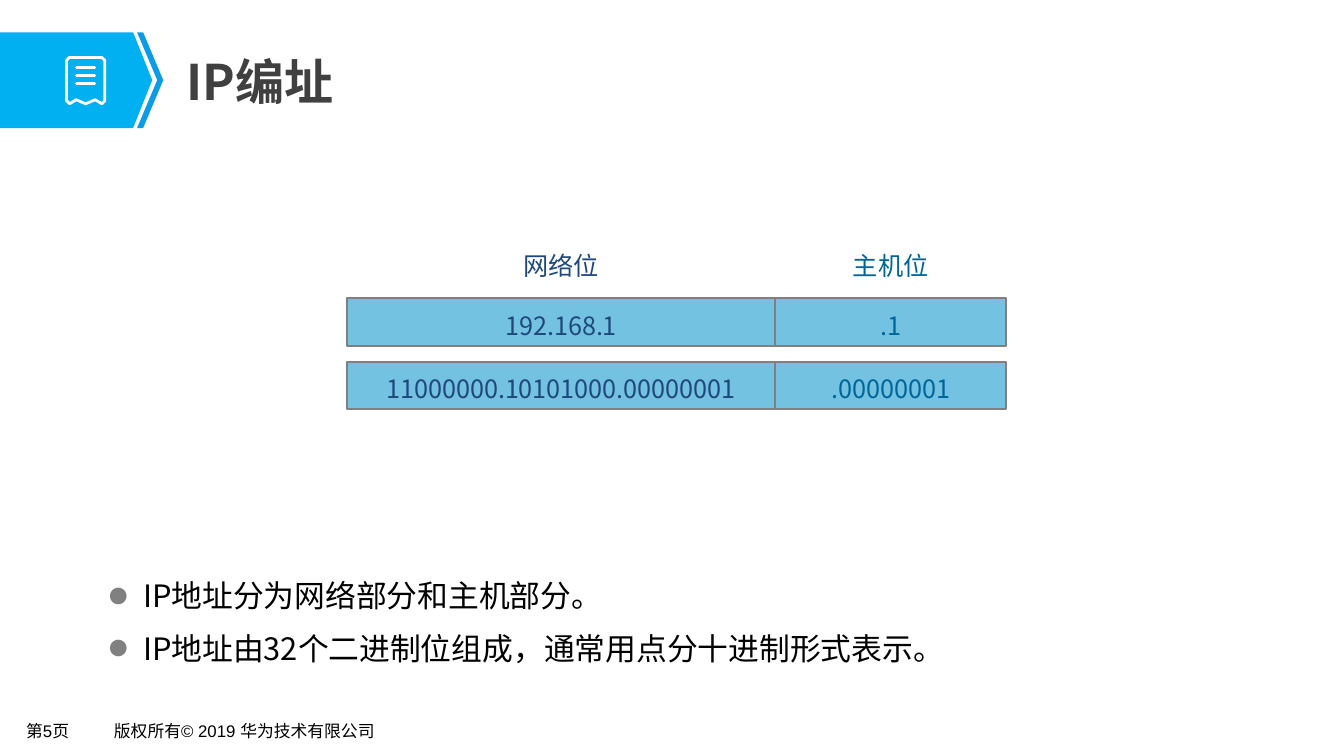
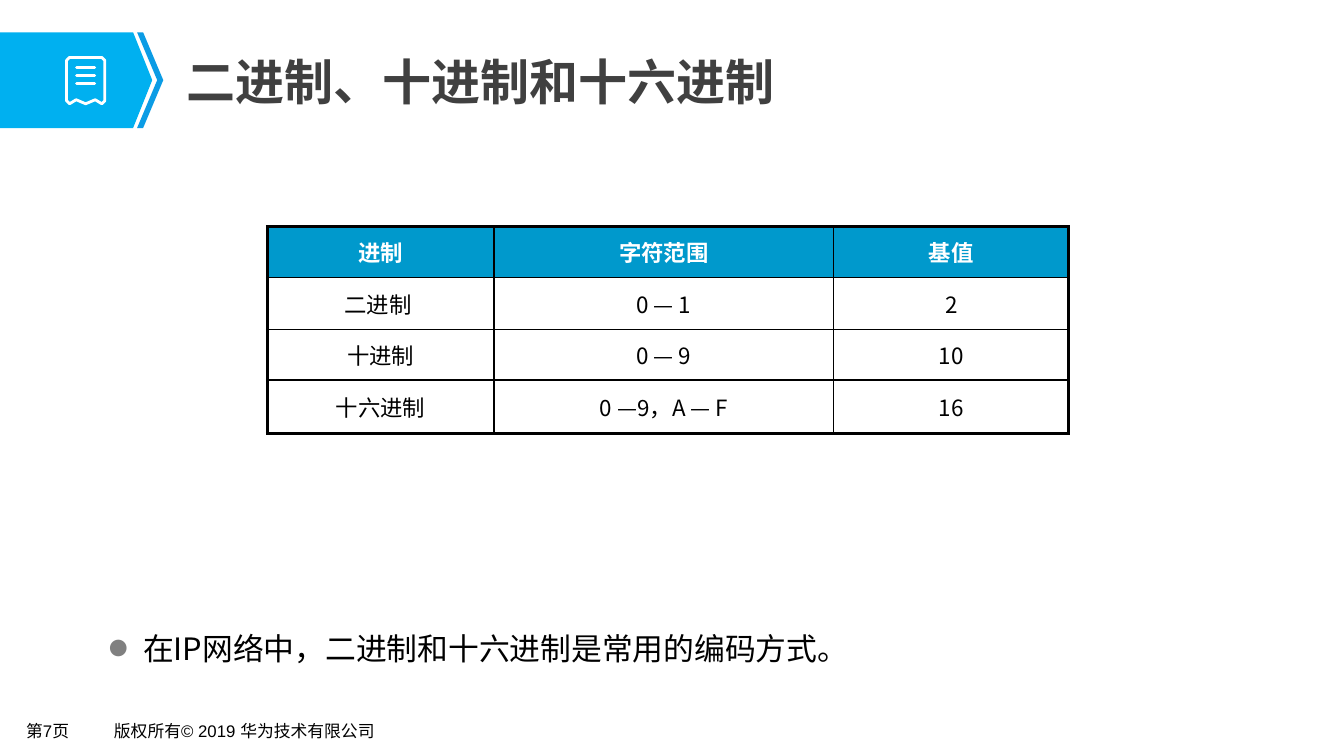
"""Build two slides on IP addressing and number systems."""
from lxml import etree
from pptx import Presentation
from pptx.dml.color import RGBColor
from pptx.enum.shapes import MSO_CONNECTOR, MSO_SHAPE
from pptx.enum.text import MSO_ANCHOR, MSO_AUTO_SIZE, PP_ALIGN
from pptx.oxml.ns import qn
from pptx.util import Inches, Pt

LEFT, CENTER, JUSTIFY = PP_ALIGN.LEFT, PP_ALIGN.CENTER, PP_ALIGN.JUSTIFY
TOP, MIDDLE, BOTTOM = MSO_ANCHOR.TOP, MSO_ANCHOR.MIDDLE, MSO_ANCHOR.BOTTOM
FIT_SHAPE, FIT_NONE = MSO_AUTO_SIZE.SHAPE_TO_FIT_TEXT, MSO_AUTO_SIZE.NONE
RECTANGLE, STRAIGHT = MSO_SHAPE.RECTANGLE, MSO_CONNECTOR.STRAIGHT
TITLE_ONLY = 5
CJK_FONT = "Noto Sans CJK SC"
COLORS = {
    "black": "000000", "white": "FFFFFF", "title": "404040", "gray": "808080",
    "band": "00B0F0", "chevron": "0B9CE5", "address": "74C2E1",
    "network": "1F497D", "host": "006699", "header": "0099CC",
}
TITLE_FONT = {"name": CJK_FONT, "size": Pt(35), "bold": True}
BODY_FONT = {"name": CJK_FONT, "size": Pt(22), "bold": False}
DIAGRAM_FONT = {"name": CJK_FONT, "size": Pt(18), "bold": False}
TABLE_FONT = {"name": CJK_FONT, "size": Pt(16), "bold": False}
FOOTER_FONT = {"name": "Arial", "size": Pt(12), "bold": False}
COPYRIGHT = "版权所有© 2019 华为技术有限公司"


def rgb(color):
    """Return the named colour."""
    return RGBColor.from_string(COLORS[color])


def set_attributes(target, values):
    """Set every attribute in a dict of format values."""
    for name, value in values.items():
        setattr(target, name, value)


def frame_format(anchor, margins, wrap=True, fit=FIT_NONE):
    """Return the format values of a text frame."""
    horizontal, vertical = (Inches(margin) for margin in margins)
    return {"word_wrap": wrap, "auto_size": fit, "vertical_anchor": anchor,
            "margin_left": horizontal, "margin_right": horizontal,
            "margin_top": vertical, "margin_bottom": vertical}


def write(paragraph, text, font, color, **layout):
    """Write one formatted run into a paragraph."""
    set_attributes(paragraph, layout)
    run = paragraph.add_run()
    run.text = text
    set_attributes(run.font, font)
    run.font.color.rgb = rgb(color)
    properties = run.font._element
    etree.SubElement(properties, qn("a:ea"), typeface=CJK_FONT)


def add_text_box(slide, box, frame_values):
    """Add a text box and return its text frame."""
    frame = slide.shapes.add_textbox(*map(Inches, box)).text_frame
    set_attributes(frame, frame_values)
    return frame


def add_outline(slide, left, top, points):
    """Add a closed outline whose points are relative to a corner."""
    corners = [(Inches(left + x), Inches(top + y)) for x, y in points]
    builder = slide.shapes.build_freeform(*corners[0])
    builder.add_line_segments(corners[1:], close=True)
    shape = builder.convert_to_shape()
    shape.shadow.inherit = False
    return shape


def add_icon(slide, left, top, width, height):
    """Draw a receipt icon in its box."""
    corner, tooth = 0.03, 0.04
    teeth = [(width * step / 4, height - tooth * (step % 2 == 1))
             for step in (3, 2, 1)]
    points = [(corner, 0), (width - corner, 0), (width, corner),
              (width, height - corner), (width - corner, height), *teeth,
              (corner, height), (0, height - corner), (0, corner)]
    receipt = add_outline(slide, left, top, points)
    receipt.fill.background()
    lines = [receipt.line]
    for row in range(3):
        y = Inches(top + 0.1 + 0.08 * row)
        stripe = slide.shapes.add_connector(
            STRAIGHT, Inches(left + 0.1), y, Inches(left + width - 0.1), y)
        etree.SubElement(stripe._element.spPr, qn("a:effectLst"))
        lines.append(stripe.line)
    for line in lines:
        line.color.rgb = rgb("white")
        line.width = Pt(2)
    for line in lines[1:]:
        line._get_or_add_ln().set("cap", "rnd")


def add_band(slide, left, top, height):
    """Draw the blue arrow band with its icon."""
    middle = height / 2
    arrow = [(0, 0), (1.32, 0), (1.51, middle), (1.32, height), (0, height)]
    chevron = [(1.36, 0), (1.42, 0), (1.62, middle), (1.42, height),
               (1.36, height), (1.56, middle)]
    for points, color in ((arrow, "band"), (chevron, "chevron")):
        shape = add_outline(slide, left, top, points)
        shape.fill.solid()
        shape.fill.fore_color.rgb = rgb(color)
        shape.line.fill.background()
    add_icon(slide, left + 0.66, top + 0.25, 0.38, 0.46)


def add_footer(slide, page, top):
    """Write the page number and the copyright line."""
    values = frame_format(TOP, (0.09, 0.04), wrap=False, fit=FIT_SHAPE)
    for text, left, width in ((f"第{page}页", 0.17, 0.74), (COPYRIGHT, 1.04, 2.85)):
        frame = add_text_box(slide, (left, top, width, 0.29), values)
        write(frame.paragraphs[0], text, FOOTER_FONT, "black", alignment=LEFT)


def add_base_slide(presentation, title, page):
    """Add a slide with the shared band, title and footer."""
    slide = presentation.slides.add_slide(presentation.slide_layouts[TITLE_ONLY])
    add_footer(slide, page, 7.11)
    add_band(slide, 0, 0.32, 0.95)
    shape = slide.shapes.title
    box = zip(("left", "top", "width", "height"), (1.74, 0.45, 10.75, 0.7))
    set_attributes(shape, {name: Inches(value) for name, value in box})
    set_attributes(shape.text_frame, frame_format(MIDDLE, (0.11, 0.06)))
    write(shape.text_frame.paragraphs[0], title, TITLE_FONT, "title", alignment=LEFT)
    return slide


def add_bullet(paragraph):
    """Give a paragraph a hanging grey bullet."""
    properties = paragraph._p.get_or_add_pPr()
    properties.set("marL", str(Inches(0.33)))
    properties.set("indent", str(-Inches(0.33)))
    color = etree.SubElement(properties, qn("a:buClr"))
    etree.SubElement(color, qn("a:srgbClr"), val=COLORS["gray"])
    etree.SubElement(properties, qn("a:buSzPct"), val="60000")
    etree.SubElement(properties, qn("a:buFont"), typeface=CJK_FONT)
    etree.SubElement(properties, qn("a:buChar"), char="●")


def add_bullets(slide, box, texts):
    """Write bullets that stand on the bottom of the box."""
    frame = add_text_box(slide, box, frame_format(BOTTOM, (0.09, 0.04)))
    for index, text in enumerate(texts):
        paragraph = frame.add_paragraph() if index else frame.paragraphs[0]
        add_bullet(paragraph)
        write(paragraph, text, BODY_FONT, "black", alignment=JUSTIFY,
              line_spacing=1.1, space_before=Pt(8.5 if index else 0))


def add_address_diagram(slide, left, top, columns):
    """Draw labelled columns of address parts."""
    height, pitch, label_width = 0.47, 0.63, 0.96
    for label, color, width, parts in columns:
        for row, part in enumerate(parts):
            y = top + 0.59 + pitch * row
            shape = slide.shapes.add_shape(
                RECTANGLE, *map(Inches, (left, y, width, height)))
            shape.shadow.inherit = False
            shape.fill.solid()
            shape.fill.fore_color.rgb = rgb("address")
            shape.line.color.rgb = rgb("gray")
            shape.line.width = Pt(1.5)
            set_attributes(shape.text_frame, frame_format(MIDDLE, (0.1, 0.05)))
            write(shape.text_frame.paragraphs[0], part, DIAGRAM_FONT, color,
                  alignment=CENTER, line_spacing=1.2)
        box = (left + (width - label_width) / 2, top, label_width, 0.46)
        frame = add_text_box(
            slide, box, frame_format(TOP, (0.1, 0.05), wrap=False, fit=FIT_SHAPE))
        write(frame.paragraphs[0], label, DIAGRAM_FONT, color,
              alignment=CENTER, line_spacing=1.2)
        left += width


def set_borders(cell, outer_sides):
    """Draw black cell borders, heavier on the outer sides."""
    properties = cell._tc.get_or_add_tcPr()
    for side in "LRTB":
        width = Pt(2.25 if side in outer_sides else 1)
        line = etree.SubElement(properties, qn(f"a:ln{side}"), w=str(width))
        fill = etree.SubElement(line, qn("a:solidFill"))
        etree.SubElement(fill, qn("a:srgbClr"), val=COLORS["black"])


def add_base_table(slide, left, top, widths, heights, rows):
    """Add a bordered table with a blue header row."""
    box = (left, top, sum(widths), sum(heights))
    table = slide.shapes.add_table(
        len(rows), len(widths), *map(Inches, box)).table
    table.horz_banding = False
    for column, width in zip(table.columns, widths):
        column.width = Inches(width)
    for row_index, texts in enumerate(rows):
        table.rows[row_index].height = Inches(heights[row_index])
        is_header = row_index == 0
        for column_index, text in enumerate(texts):
            cell = table.cell(row_index, column_index)
            outer = {"L": column_index == 0, "R": column_index == len(widths) - 1,
                     "T": is_header, "B": row_index == len(rows) - 1}
            set_borders(cell, [side for side, is_outer in outer.items() if is_outer])
            cell.vertical_anchor = MIDDLE
            if is_header:
                cell.fill.solid()
                cell.fill.fore_color.rgb = rgb("header")
            else:
                cell.fill.background()
            write(cell.text_frame.paragraphs[0], text,
                  {**TABLE_FONT, "bold": is_header},
                  "white" if is_header else "black", alignment=CENTER)


def build_address_slide(presentation):
    """Build the slide on the two parts of an IP address."""
    slide = add_base_slide(presentation, "IP编址", 5)
    add_bullets(slide, (1, 5.35, 11.55, 1.3), [
        "IP地址分为网络部分和主机部分。",
        "IP地址由32个二进制位组成，通常用点分十进制形式表示。"])
    add_address_diagram(slide, 3.44, 2.37, [
        ("网络位", "network", 4.25, ["192.168.1", "11000000.10101000.00000001"]),
        ("主机位", "host", 2.29, [".1", ".00000001"])])


def build_number_slide(presentation):
    """Build the slide that compares number systems."""
    slide = add_base_slide(presentation, "二进制、十进制和十六进制", 7)
    add_bullets(slide, (1, 5.35, 11.55, 1.3),
                ["在IP网络中，二进制和十六进制是常用的编码方式。"])
    add_base_table(slide, 2.65, 2.25, [2.25, 3.37, 2.33], [0.5, 0.52, 0.5, 0.53], [
        ("进制", "字符范围", "基值"),
        ("二进制 ", "0 — 1", "2"),
        ("十进制", "0 — 9", "10"),
        ("十六进制", "0 —9，A — F", "16")])


def main():
    """Build and save the presentation."""
    presentation = Presentation()
    presentation.slide_width = Inches(13.33)
    presentation.slide_height = Inches(7.5)
    build_address_slide(presentation)
    build_number_slide(presentation)
    presentation.save("out.pptx")


if __name__ == "__main__":
    main()
